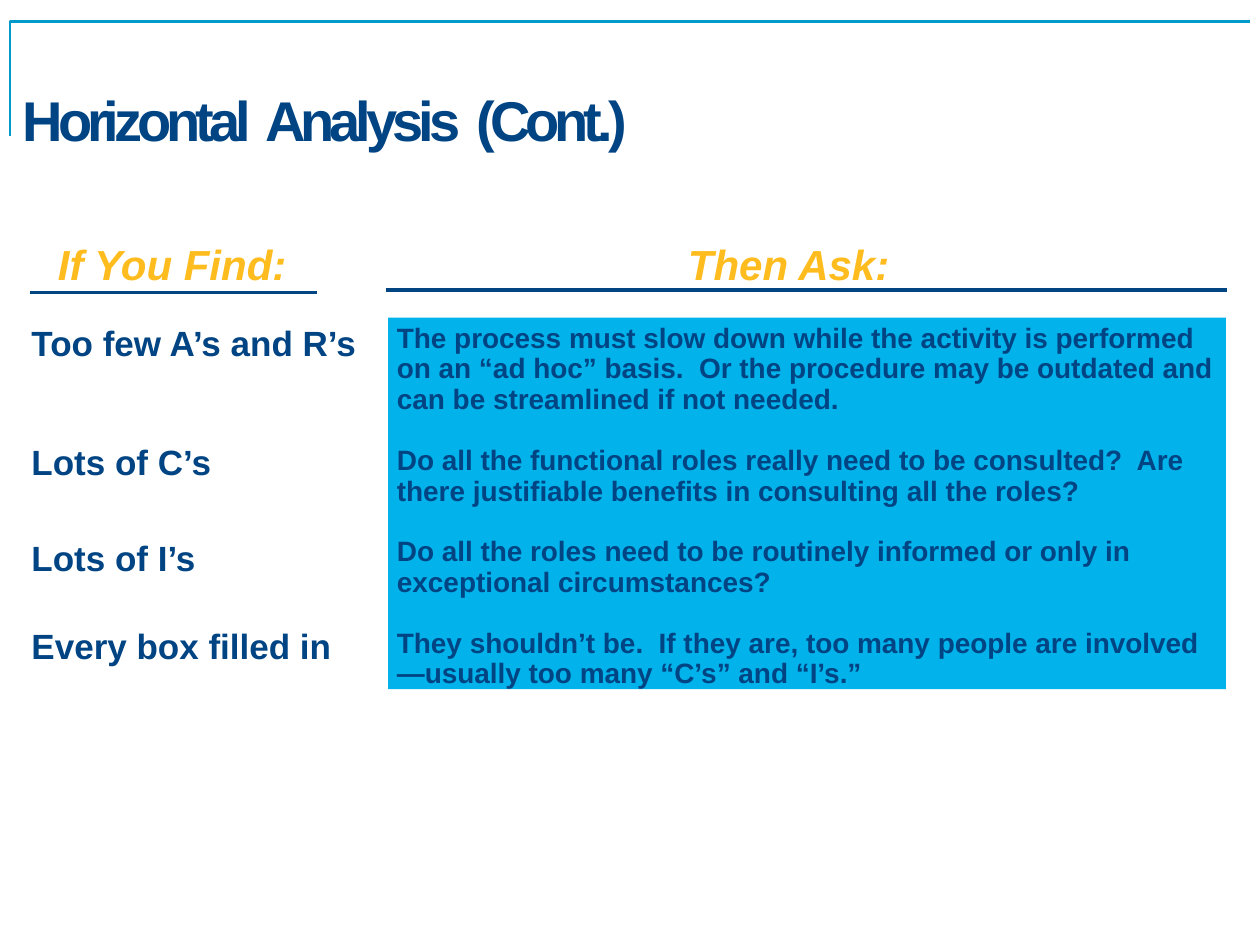
from pptx import Presentation
from pptx.dml.color import RGBColor
from pptx.enum.shapes import MSO_CONNECTOR as Connector, MSO_SHAPE as Shape
from pptx.enum.text import MSO_ANCHOR as Anchor, MSO_AUTO_SIZE as AutoSize, PP_ALIGN as Align
from pptx.util import Inches, Pt
from lxml.etree import SubElement
from pptx.oxml.ns import qn

COLORS = {"navy": "004483", "rule": "014582", "gold": "FFBC1F", "sky": "02B3EB", "corner": "029ACA"}
FONT = "Arial"
UNIT = 0.1
COLUMNS, ROWS = 100, 75


def grid(*cells):
    return [Inches(cell * UNIT) for cell in cells]


def color(name):
    return RGBColor.from_string(COLORS[name])


def write(frame, text, size=20, fill="navy", italic=False, tracking=0,
          inset=(0, 0.03, 0, 0), leading=None, gap=0):
    frame.word_wrap = True
    frame.auto_size = AutoSize.NONE
    frame.vertical_anchor = Anchor.TOP
    frame.margin_left, frame.margin_top, frame.margin_right, frame.margin_bottom = map(Inches, inset)
    for index, line in enumerate(text.split("\n")):
        para = frame.add_paragraph() if index else frame.paragraphs[0]
        para.alignment = Align.LEFT
        para.space_before = Pt(gap if index else 0)
        para.line_spacing = Pt(leading) if leading and index else 0.91 if leading else 1.0
        span = para.add_run()
        span.text = line
        font = span.font
        font.name, font.size, font.bold, font.italic = FONT, Pt(size), True, italic
        font.color.rgb = color(fill)
        if tracking:
            span._r.get_or_add_rPr().set("spc", str(round(tracking * 100)))


class SlideBuilder:
    def __init__(self, deck):
        self.page = deck.slides.add_slide(deck.slide_layouts[5])

    def title(self, text, left, top, width, height):
        box = self.page.shapes.title
        box.left, box.top, box.width, box.height = grid(left, top, width, height)
        write(box.text_frame, text, size=32, tracking=-2.9, inset=(0, 0.51, 0, 0))

    def text(self, text, left, top, width, height, **style):
        box = self.page.shapes.add_textbox(*grid(left, top, width, height))
        write(box.text_frame, text, **style)

    def panel(self, text, left, top, width, height, **style):
        box = self.page.shapes.add_shape(Shape.RECTANGLE, *grid(left, top, width, height))
        box.shadow.inherit = False
        box.fill.solid()
        box.fill.fore_color.rgb = color("sky")
        box.line.fill.background()
        write(box.text_frame, text, **style)

    def rule(self, left, right, top):
        line = self.page.shapes.add_connector(Connector.STRAIGHT, *grid(left, top, right, top))
        line.line.color.rgb = color("rule")
        line.line.width = Pt(2)
        SubElement(line._element.spPr, qn("a:effectLst"))

    def corner(self, points):
        start, *rest = [tuple(grid(*point)) for point in points]
        path = self.page.shapes.build_freeform(*start)
        path.add_line_segments(rest, close=False)
        shape = path.convert_to_shape()
        shape.shadow.inherit = False
        shape.fill.background()
        shape.line.color.rgb = color("corner")
        shape.line.width = Pt(1.5)


FINDINGS = [
    ("Too few A’s and R’s", 25.2),
    ("Lots of C’s", 34.7),
    ("Lots of I’s", 42.3),
    ("Every box filled in", 49.3),
]
QUESTIONS = "\n".join([
    "The process must slow down while the activity is performed on an “ad hoc” basis.  "
    "Or the procedure may be outdated and can be streamlined if not needed.",
    "Do all the functional roles really need to be consulted?  "
    "Are there justifiable benefits in consulting all the roles?",
    "Do all the roles need to be routinely informed or only in exceptional circumstances?",
    "They shouldn’t be.  If they are, too many people are "
    "involved—usually too many “C’s” and “I’s.”",
])
HEADINGS = [("If You Find:", 4.6, 2.4, 25.2, 23.2), ("Then Ask:", 54.6, 30.6, 97.4, 23)]


def main():
    deck = Presentation()
    deck.slide_width, deck.slide_height = grid(COLUMNS, ROWS)
    slide = SlideBuilder(deck)
    slide.corner([(0.8, 10.8), (0.8, 1.7), (99.2, 1.7)])
    slide.title("Horizontal  Analysis  (Cont.)", 1.8, 1.7, 93.7, 10.3)
    for finding, top in FINDINGS:
        slide.text(finding, 2.5, top, 27, 3.6)
    for heading, left, rule_left, rule_right, rule_top in HEADINGS:
        slide.text(heading, left, 18.6, 19, 4.3, size=24, fill="gold", italic=True)
        slide.rule(rule_left, rule_right, rule_top)
    slide.panel(QUESTIONS, 30.8, 25.2, 66.5, 29.5, size=16, leading=17.4, gap=17.4,
                inset=(0.07, 0.05, 0.05, 0))
    deck.save("out.pptx")


if __name__ == "__main__":
    main()
